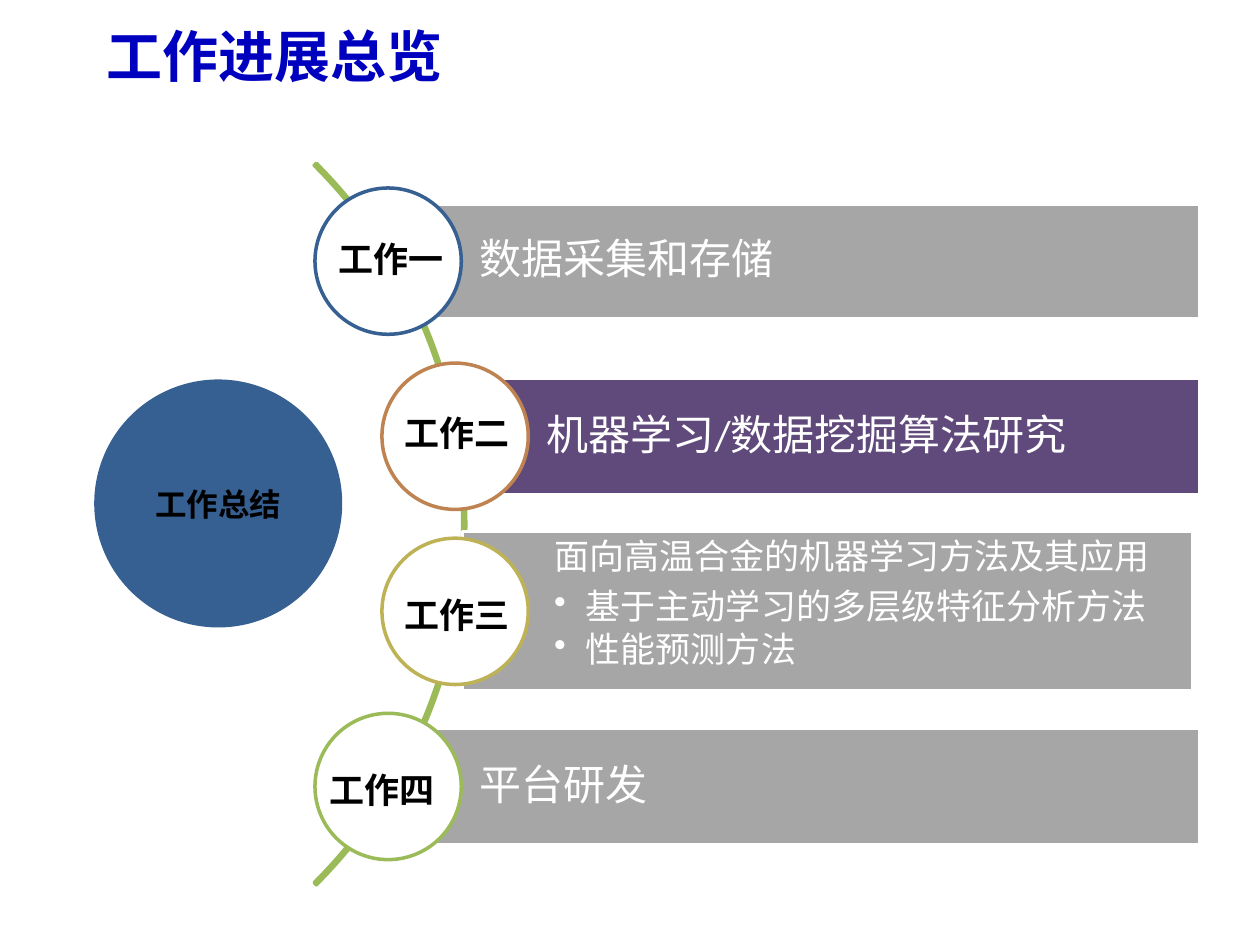
from lxml import etree
from pptx import Presentation
from pptx.dml.color import RGBColor
from pptx.enum import shapes, text
from pptx.oxml.ns import qn
from pptx.util import Cm, Pt

WHITE, BLACK, GRAY, PURPLE = "FFFFFF", "000000", "A6A6A6", "604A7B"
BLUE, ORANGE, GOLD, GREEN = "376092", "BE8351", "BDB255", "9BBB59"
EAST_ASIAN_FONT = "Noto Sans CJK SC"
BAR_RIGHT = 24.18
CIRCLE_SIZE = 2.95
CIRCLE_TOP, CIRCLE_PITCH = 3.79, 3.53

TASKS = [
    dict(label="工作一", label_box=(6.58, 4.67, 2.82), circle_left=6.35, line=BLUE,
         bar=(7.82, 4.11, BAR_RIGHT - 7.82, 2.31), fill=GRAY, lines=["数据采集和存储"]),
    dict(label="工作二", label_box=(7.9, 8.18, 2.69), circle_left=7.7, line=ORANGE,
         bar=(9.17, 7.62, BAR_RIGHT - 9.17, 2.36), fill=PURPLE,
         lines=["机器学习/数据挖掘算法研究"]),
    dict(label="工作三", label_box=(7.9, 11.84, 3), circle_left=7.7, line=GOLD,
         bar=(9.32, 10.72, 14.73, 3.2), fill=GRAY,
         lines=["面向高温合金的机器学习方法及其应用",
                "基于主动学习的多层级特征分析方法", "性能预测方法"]),
    dict(label="工作四", label_box=(6.4, 15.37, 3), circle_left=6.35, line=GREEN,
         bar=(7.82, 14.68, BAR_RIGHT - 7.82, 2.36), fill=GRAY, lines=["平台研发"]),
]


def color(value):
    return RGBColor.from_string(value)


def write(paragraph, content, size, fill, bold=False, font="Calibri",
          align=text.PP_ALIGN.LEFT, line_spacing=None, after=None):
    run = paragraph.add_run()
    run.text = content
    run.font.name = font
    run.font.size = Pt(size)
    run.font.bold = bold
    run.font.color.rgb = color(fill)
    east_asian = etree.SubElement(run.font._element, qn("a:ea"))
    east_asian.set("typeface", EAST_ASIAN_FONT)
    paragraph.alignment = align
    paragraph.line_spacing = line_spacing
    if after is not None:
        paragraph.space_after = Pt(after)


def add_bullet(paragraph):
    paragraph.level = 1
    properties = paragraph._p.get_or_add_pPr()
    properties.set("marL", str(Cm(0.64)))
    properties.set("indent", str(-Cm(0.64)))
    etree.SubElement(properties, qn("a:buChar")).set("char", "•")


def add_shape(slide, kind, box, fill=None, line=None):
    shape = slide.shapes.add_shape(kind, *map(Cm, box))
    shape.shadow.inherit = False
    if fill:
        shape.fill.solid()
        shape.fill.fore_color.rgb = color(fill)
    else:
        shape.fill.background()
    if line:
        shape.line.color.rgb = color(line)
        shape.line.width = Pt(2)
    else:
        shape.line.fill.background()
    return shape


def add_bar(slide, box, fill, lines):
    bar = add_shape(slide, shapes.MSO_SHAPE.RECTANGLE, box, fill, WHITE)
    frame = bar.text_frame
    frame.word_wrap = True
    frame.margin_left = Cm(1.85)
    is_list = len(lines) > 1
    frame.margin_top = frame.margin_right = frame.margin_bottom = Cm(0.15 if is_list else 0.18)
    frame.vertical_anchor = text.MSO_ANCHOR.TOP if is_list else text.MSO_ANCHOR.MIDDLE
    size = 20 if is_list else 24
    write(frame.paragraphs[0], lines[0], size, WHITE, line_spacing=0.9,
          after=7 if is_list else None)
    for line in lines[1:]:
        paragraph = frame.add_paragraph()
        add_bullet(paragraph)
        write(paragraph, line, size, WHITE, line_spacing=0.9, after=3)


def add_label(slide, left, top, width, content):
    label = slide.shapes.add_textbox(Cm(left), Cm(top), Cm(width), Cm(1.12))
    label.text_frame.word_wrap = True
    label.text_frame.auto_size = text.MSO_AUTO_SIZE.SHAPE_TO_FIT_TEXT
    write(label.text_frame.paragraphs[0], content, 20, BLACK, bold=True)


def add_title(slide, content):
    title = slide.shapes.title
    title.left, title.top, title.width, title.height = map(Cm, (1.9, 0, 22.86, 2.21))
    title.text_frame.vertical_anchor = text.MSO_ANCHOR.MIDDLE
    write(title.text_frame.paragraphs[0], content, 32, "0000BF", bold=True,
          font=EAST_ASIAN_FONT)


def add_summary(slide, content):
    circle = add_shape(slide, shapes.MSO_SHAPE.OVAL, (1.9, 7.65, 5, 5), BLUE)
    circle.text_frame.vertical_anchor = text.MSO_ANCHOR.MIDDLE
    write(circle.text_frame.paragraphs[0], content, 18, BLACK, bold=True,
          align=text.PP_ALIGN.CENTER)


def add_arc(slide):
    arc = add_shape(slide, shapes.MSO_SHAPE.BLOCK_ARC, (-11.18, 0.28, 20.57, 20.57), line=GREEN)
    for index, value in enumerate((189, 27, 0.003)):
        arc.adjustments[index] = value


def main():
    presentation = Presentation()
    presentation.slide_width, presentation.slide_height = Cm(25.4), Cm(19.05)
    slide = presentation.slides.add_slide(presentation.slide_layouts[5])
    add_title(slide, "工作进展总览")
    add_summary(slide, "工作总结")
    add_arc(slide)
    for index, task in enumerate(TASKS):
        add_bar(slide, task["bar"], task["fill"], task["lines"])
        top = CIRCLE_TOP + index * CIRCLE_PITCH
        add_shape(slide, shapes.MSO_SHAPE.OVAL,
                  (task["circle_left"], top, CIRCLE_SIZE, CIRCLE_SIZE), WHITE, task["line"])
    for task in TASKS:
        add_label(slide, *task["label_box"], task["label"])
    presentation.save("out.pptx")


if __name__ == "__main__":
    main()
